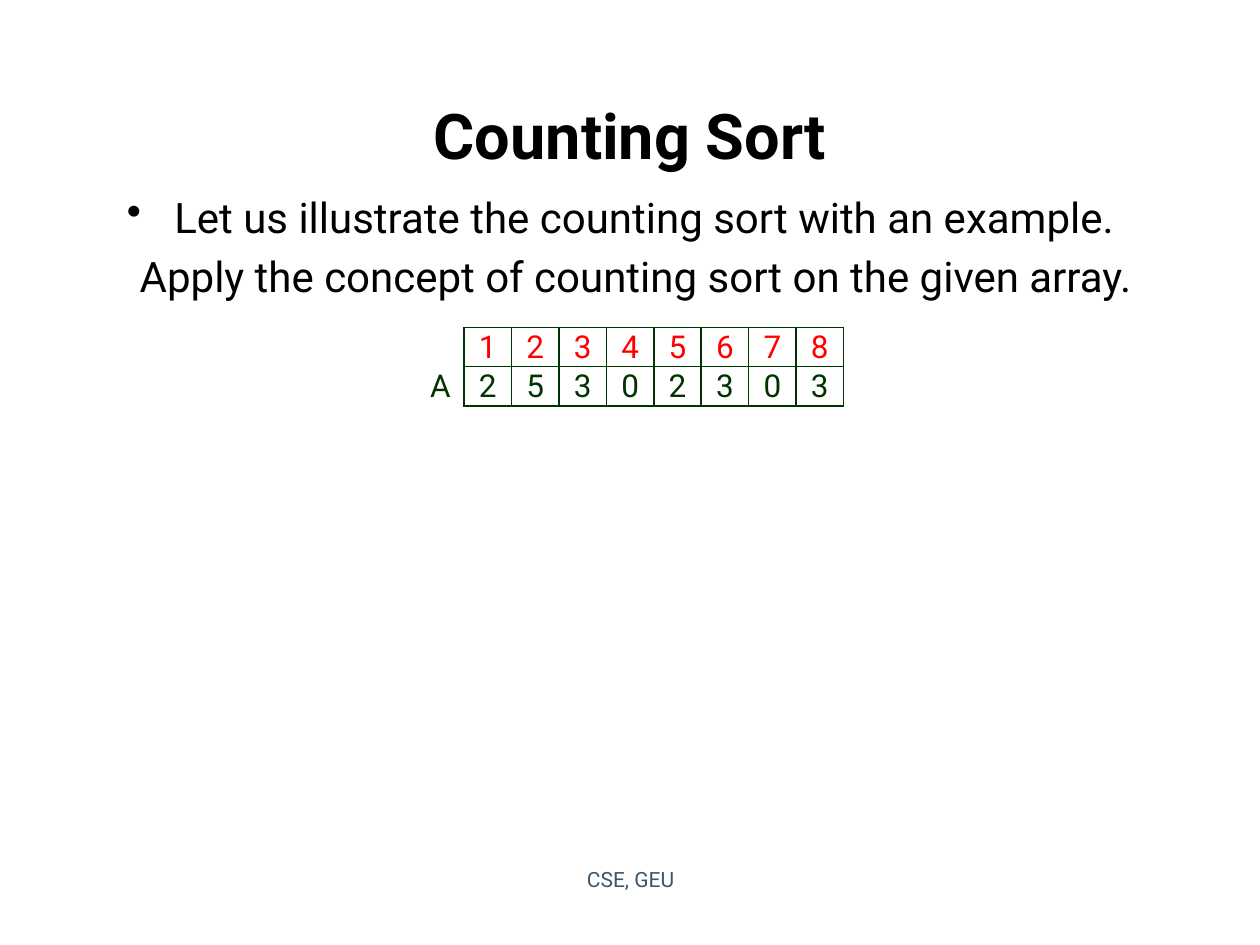
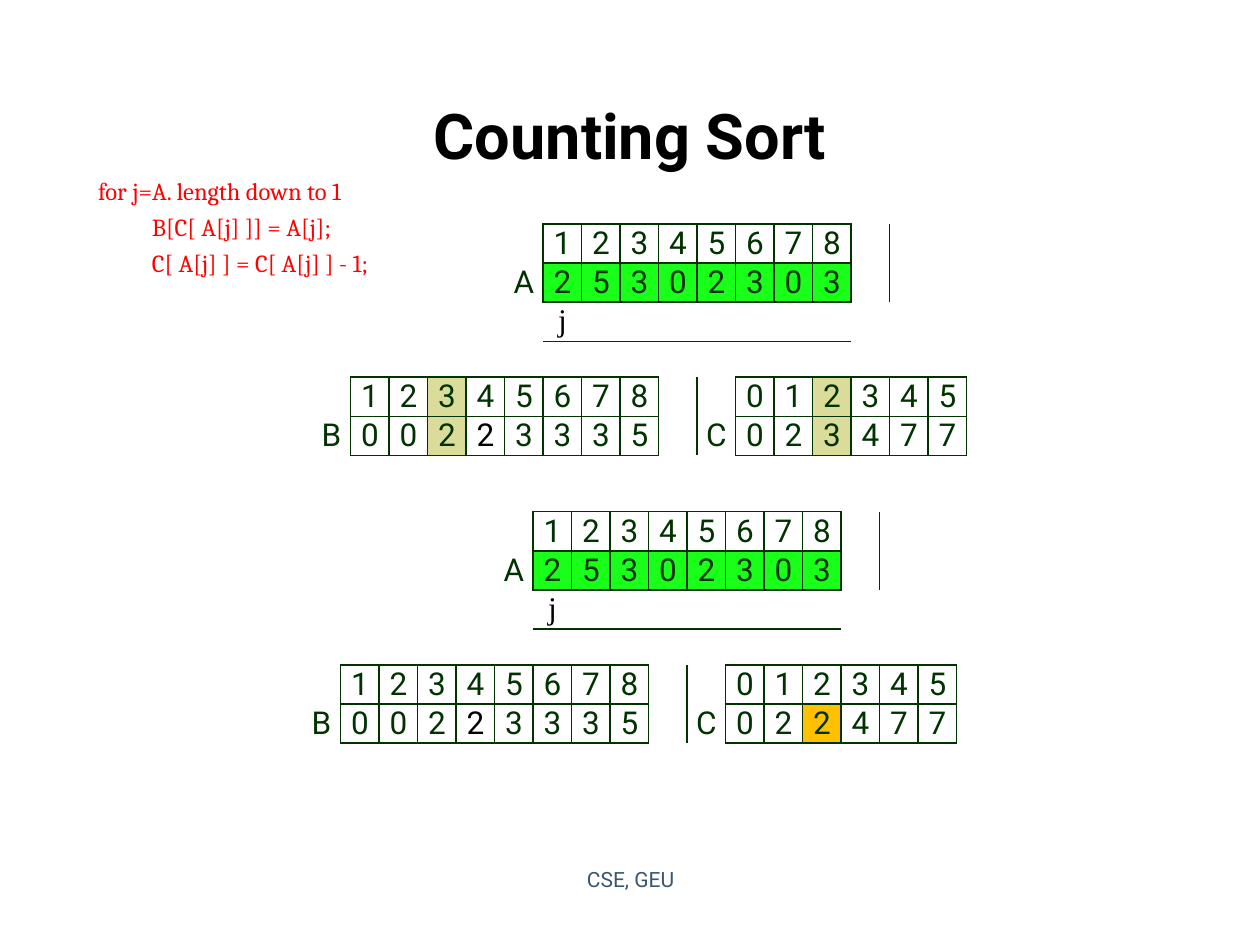
from dataclasses import dataclass, field

from lxml.etree import SubElement
from pptx import Presentation
from pptx.dml.color import RGBColor
from pptx.enum.text import MSO_ANCHOR as Anchor, PP_ALIGN as Align
from pptx.oxml.ns import qn
from pptx.slide import Slide
from pptx.table import _Cell as TableCell
from pptx.text.text import TextFrame, _Paragraph as Paragraph
from pptx.util import Pt

Position = tuple[int, int]


@dataclass(frozen=True)
class Theme:
    black: str = "000000"
    red: str = "FF0000"
    green: str = "003300"
    footer_blue: str = "3A566E"
    input_fill: str = "1AFF1A"
    current_fill: str = "DCDC9A"
    changed_fill: str = "FFC000"
    font: str = "Roboto"
    code_font: str = "Cambria"
    pointer_font: str = "Times New Roman"
    title_size: float = 36
    body_size: float = 24
    cell_size: float = 18
    code_size: float = 14
    footer_size: float = 12
    border: float = 1


@dataclass(frozen=True)
class Box:
    left: float
    top: float
    width: float
    height: float


@dataclass(frozen=True)
class ArrayTable:
    """Rows of words, where a dot is an empty cell and a letter is a label."""

    left: float
    top: float
    column_width: float
    row_heights: list[float]
    rows: list[str]
    fills: dict[Position, str] = field(default_factory=dict)
    colors: dict[Position, str] = field(default_factory=dict)
    extra_edges: set[tuple[Position, Position]] = field(default_factory=set)


THEME = Theme()
TITLE = Box(36, 31.68, 648, 90)
BODY = Box(65.5, 105.8, 595.5, 306)
CODE = Box(48.24, 93.6, 607, 67)
FOOTER = Box(246.24, 491.76, 228.24, 37.44)

CELL_ROW = 21.75
GAP_ROW = 20.5
CELL_INSET = 0.72
SIDES = {"L": (0, -1), "R": (0, 1), "T": (-1, 0), "B": (1, 0)}

STEP_COLUMN = 22.02
STEP_HEIGHTS = [CELL_ROW] * 2 + [GAP_ROW] * 2 + [CELL_ROW] * 2
STEP_ROWS = [
    ". . . . . . 1 2 3 4 5 6 7 8 . . .",
    ". . . . . A 2 5 3 0 2 3 0 3 . . .",
    ". . . . . . j . . . . . . . . . .",
    ". . . . . . . . . . . . . . . . .",
    ". 1 2 3 4 5 6 7 8 . . 0 1 2 3 4 5",
]
INPUT_COLUMNS = range(6, 14)
STEP_EDGES = (
    {((2, column), (3, column)) for column in INPUT_COLUMNS}
    | {((row, 14), (row, 15)) for row in (0, 1)}
    | {((row, 9), (row, 10)) for row in (4, 5)}
)


def format_text(
    paragraph: Paragraph,
    text: str,
    *,
    size: float,
    color: str = THEME.black,
    font: str = THEME.font,
    bold: bool = False,
    align: Align = Align.LEFT,
    space_before: float = 0,
    line_spacing: float = 1,
    indent: float = 0,
    bullet: str = "",
) -> None:
    paragraph.alignment = align
    paragraph.space_before = Pt(space_before)
    paragraph.line_spacing = line_spacing
    properties = paragraph._p.get_or_add_pPr()
    properties.set("marL", str(Pt(indent)))
    if bullet:
        properties.set("indent", str(-Pt(indent)))
        SubElement(properties, qn("a:buChar"), char=bullet)
    run = paragraph.add_run()
    run.text = text
    run.font.size = Pt(size)
    run.font.name = font
    run.font.bold = bold
    run.font.color.rgb = RGBColor.from_string(color)


def add_text_frame(slide: Slide, box: Box, anchor: Anchor = Anchor.TOP) -> TextFrame:
    shape = slide.shapes.add_textbox(
        Pt(box.left), Pt(box.top), Pt(box.width), Pt(box.height)
    )
    frame = shape.text_frame
    frame.word_wrap = True
    frame.vertical_anchor = anchor
    return frame


def add_base_slide(presentation: Presentation) -> Slide:
    """Add a blank slide with the shared title and footer."""
    slide = presentation.slides.add_slide(presentation.slide_layouts[6])
    title = add_text_frame(slide, TITLE, Anchor.MIDDLE)
    format_text(title.paragraphs[0], "Counting Sort", size=THEME.title_size,
                bold=True, align=Align.CENTER)
    footer = add_text_frame(slide, FOOTER)
    format_text(footer.paragraphs[0], "CSE, GEU", size=THEME.footer_size,
                color=THEME.footer_blue, align=Align.CENTER)
    return slide


def set_border(cell: TableCell, side: str, visible: bool) -> None:
    line = SubElement(cell._tc.get_or_add_tcPr(), qn(f"a:ln{side}"),
                      w=str(Pt(THEME.border)))
    if visible:
        fill = SubElement(line, qn("a:solidFill"))
        SubElement(fill, qn("a:srgbClr"), val=THEME.green)
    else:
        SubElement(line, qn("a:noFill"))


def add_array_table(slide: Slide, spec_table: ArrayTable) -> None:
    """Box every number; labels and gaps show only their neighbours' edges."""
    words = [row.split() for row in spec_table.rows]
    column_count = len(words[0])
    table = slide.shapes.add_table(
        len(words), column_count, Pt(spec_table.left), Pt(spec_table.top),
        Pt(spec_table.column_width * column_count), Pt(sum(spec_table.row_heights)),
    ).table
    table.first_row = table.horz_banding = False
    for column in table.columns:
        column.width = Pt(spec_table.column_width)
    for row, height in zip(table.rows, spec_table.row_heights):
        row.height = Pt(height)

    boxed = {(r, c) for r, row in enumerate(words)
             for c, word in enumerate(row) if word.isdigit()}
    for r, row in enumerate(words):
        for c, word in enumerate(row):
            position = (r, c)
            cell = table.cell(r, c)
            cell.margin_left = cell.margin_right = cell.margin_top = Pt(CELL_INSET)
            cell.margin_bottom = 0
            for side, (down, across) in SIDES.items():
                neighbour = (r + down, c + across)
                edge = (min(position, neighbour), max(position, neighbour))
                set_border(cell, side, position in boxed or neighbour in boxed
                           or edge in spec_table.extra_edges)
            if position in spec_table.fills:
                cell.fill.solid()
                cell.fill.fore_color.rgb = RGBColor.from_string(
                    spec_table.fills[position])
            else:
                cell.fill.background()
            paragraph = cell.text_frame.paragraphs[0]
            if word == ".":
                SubElement(paragraph._p, qn("a:endParaRPr"),
                           sz=str(int(THEME.footer_size * 100)))
                continue
            format_text(paragraph, word, size=THEME.cell_size, align=Align.CENTER,
                        color=spec_table.colors.get(position, THEME.green),
                        font=THEME.pointer_font if word == "j" else THEME.font)


def add_step(slide: Slide, left: float, top: float, count_row: str,
             highlights: dict[Position, str]) -> None:
    """Draw arrays A, B and C at one step of the sort."""
    input_fills = {(1, column): THEME.input_fill for column in INPUT_COLUMNS}
    add_array_table(slide, ArrayTable(
        left, top, STEP_COLUMN, STEP_HEIGHTS,
        STEP_ROWS + [f"B 0 0 2 2 3 3 3 5 . C {count_row}"],
        fills=input_fills | highlights,
        colors={(2, 6): THEME.black, (5, 4): THEME.black},
        extra_edges=STEP_EDGES,
    ))


def build_example_slide(presentation: Presentation) -> None:
    slide = add_base_slide(presentation)
    body = add_text_frame(slide, BODY)
    format_text(body.paragraphs[0],
                "Let us illustrate the counting sort with an example.",
                size=THEME.body_size, space_before=4.8, indent=27, bullet="•")
    format_text(body.add_paragraph(),
                "Apply the concept of counting sort on the given array.",
                size=THEME.body_size, space_before=4.8, align=Align.CENTER)
    add_array_table(slide, ArrayTable(
        238.1, 187.2, 27.12, [CELL_ROW] * 2,
        [". 1 2 3 4 5 6 7 8", "A 2 5 3 0 2 3 0 3"],
        colors={(0, column): THEME.red for column in range(1, 9)},
    ))


def build_steps_slide(presentation: Presentation) -> None:
    slide = add_base_slide(presentation)
    add_step(slide, 178.4, 128, "0 2 3 4 7 7",
             {(row, column): THEME.current_fill
              for row in (4, 5) for column in (3, 13)})
    add_step(slide, 172.7, 292.4, "0 2 2 4 7 7", {(5, 13): THEME.changed_fill})
    code = add_text_frame(slide, CODE)
    lines = [
        ("for j=A. length down to 1", 0.72),
        ("B[C[ A[j] ]] = A[j];", 31.5),
        ("C[ A[j] ] = C[ A[j] ] - 1;", 31.5),
    ]
    for number, (text, indent) in enumerate(lines):
        paragraph = code.add_paragraph() if number else code.paragraphs[0]
        format_text(paragraph, text, size=THEME.code_size, color=THEME.red,
                    font=THEME.code_font, space_before=0.1, line_spacing=1.21,
                    indent=indent)


def main() -> None:
    presentation = Presentation()
    presentation.slide_width = Pt(720)
    presentation.slide_height = Pt(540)
    build_example_slide(presentation)
    build_steps_slide(presentation)
    presentation.save("out.pptx")


if __name__ == "__main__":
    main()
